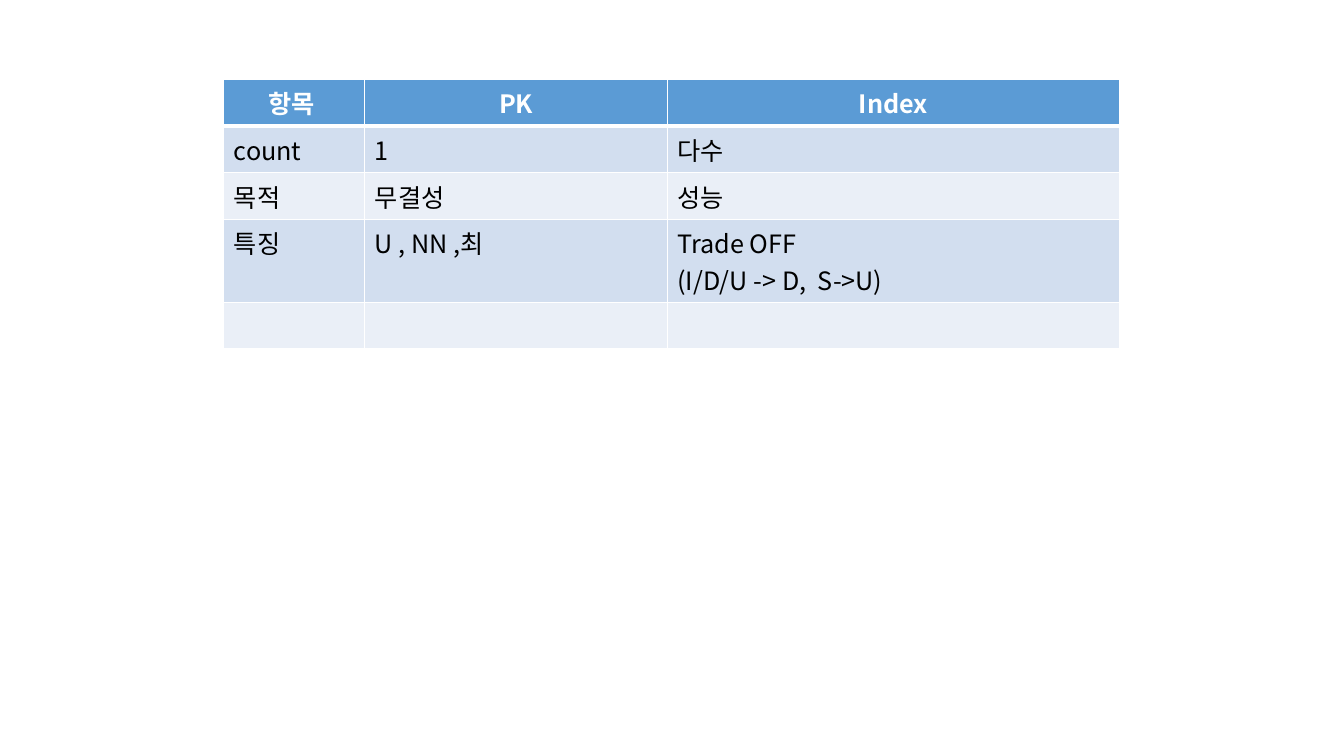
from lxml import etree
from pptx import Presentation
from pptx.dml.color import RGBColor
from pptx.enum.text import PP_ALIGN
from pptx.oxml.ns import qn
from pptx.util import Inches, Pt

CENTER, LEFT = PP_ALIGN.CENTER, PP_ALIGN.LEFT
WHITE = RGBColor(0xFF, 0xFF, 0xFF)
BLACK = RGBColor(0x00, 0x00, 0x00)
BLUE = RGBColor(0x5B, 0x9B, 0xD5)
BANDS = (RGBColor(0xEA, 0xEF, 0xF7), RGBColor(0xD2, 0xDE, 0xEF))
FONT = "Noto Sans CJK KR"

HEAD = {"size": Pt(18), "name": FONT, "bold": True}
BODY = {**HEAD, "bold": False}

# Lengths in percent of the slide's width and height
LEFT_EDGE, TOP_EDGE = 16.65, 10.53
WIDTHS = (10.5, 22.5, 33.65)
LINE, TWO_LINES = 6.13, 10.93

ROWS = (
    ("항목 ", "PK", "Index"),
    ("count", "1", "다수"),
    ("목적", "무결성", "성능"),
    ("특징", "U , NN ,최", "Trade OFF\n(I/D/U -> D,  S->U)"),
    ("", "", ""),
)


class Deck:
    """Hold the slide and its table style."""

    def __init__(self):
        self.prs = Presentation()
        self.prs.slide_width, self.prs.slide_height = Inches(13.33), Inches(7.5)
        self.slide = self.prs.slides.add_slide(self.prs.slide_layouts[6])

    def across(self, share):
        return round(self.prs.slide_width * share / 100)

    def down(self, share):
        return round(self.prs.slide_height * share / 100)

    def table(self, left, top, widths, rows):
        heights = [TWO_LINES if any("\n" in text for text in row) else LINE
                   for row in rows]
        grid = self.slide.shapes.add_table(
            len(rows), len(widths), self.across(left), self.down(top),
            self.across(sum(widths)), self.down(sum(heights))).table
        for col, width in zip(grid.columns, widths):
            col.width = self.across(width)
        for line, height in zip(grid.rows, heights):
            line.height = self.down(height)
        for r, row in enumerate(rows):
            for c, text in enumerate(row):
                self.cell(grid.cell(r, c), text, r)

    def cell(self, cell, text, row):
        is_head = row == 0
        self.edge(cell, {"lnL": 1, "lnR": 1, "lnT": 3 if row == 1 else 1,
                         "lnB": 3 if is_head else 1})
        cell.fill.solid()
        cell.fill.fore_color.rgb = BLUE if is_head else BANDS[row % 2]
        if text:
            cell.text = text
        for para in cell.text_frame.paragraphs:
            para.alignment = CENTER if is_head else LEFT
            for run in para.runs:
                self.style(run, HEAD if is_head else BODY,
                           WHITE if is_head else BLACK)

    def style(self, run, form, color):
        for key, value in form.items():
            setattr(run.font, key, value)
        run.font.color.rgb = color
        east = etree.SubElement(run.font._element, qn("a:ea"))
        east.set("typeface", form["name"])

    def edge(self, cell, sides):
        """Draw white cell borders, with widths in points."""
        props = cell._tc.get_or_add_tcPr()
        for side, width in sides.items():
            line = etree.SubElement(props, qn(f"a:{side}"), w=str(Pt(width)))
            fill = etree.SubElement(line, qn("a:solidFill"))
            etree.SubElement(fill, qn("a:srgbClr"), val=str(WHITE))


def main():
    deck = Deck()
    deck.table(LEFT_EDGE, TOP_EDGE, WIDTHS, ROWS)
    deck.prs.save("out.pptx")


if __name__ == "__main__":
    main()
